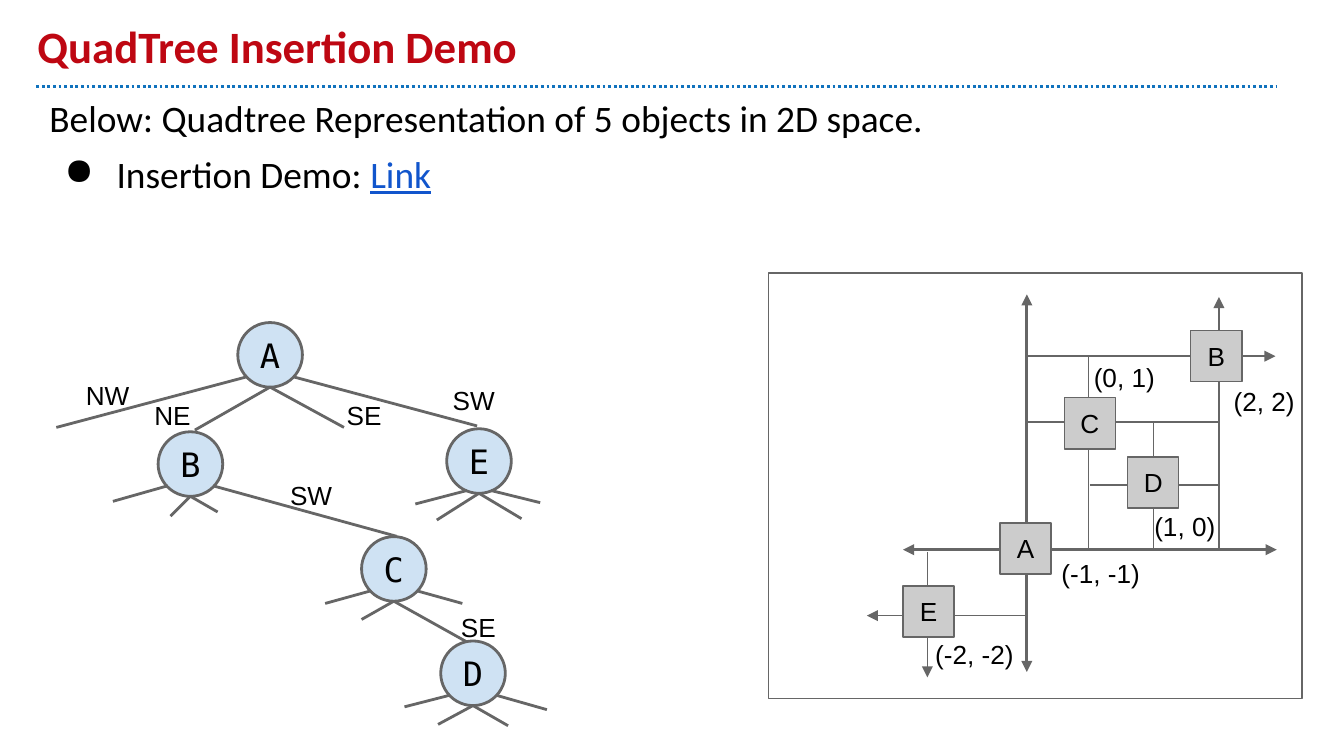
"""Build a slide showing a quadtree and its objects in 2D space."""
from dataclasses import dataclass

from lxml.etree import SubElement
from pptx import Presentation
from pptx.dml.color import RGBColor
from pptx.enum.dml import MSO_LINE
from pptx.enum.shapes import MSO_CONNECTOR, MSO_SHAPE
from pptx.enum.text import MSO_ANCHOR, PP_ALIGN
from pptx.oxml.ns import qn
from pptx.util import Pt


@dataclass(frozen=True)
class Theme:
    title: str = "BE0712"
    rule: str = "1072BD"
    link: str = "1155CC"
    text: str = "000000"
    outline: str = "666666"
    node: str = "CFE2F3"
    square: str = "CCCCCC"
    heading_font: str = "Calibri"
    label_font: str = "Arial"
    node_font: str = "DejaVu Sans Mono"
    title_size: float = 24
    body_size: float = 20
    node_size: float = 18
    label_size: float = 14
    thin: float = 0.75
    thick: float = 1.5


class SlideBuilder:
    def __init__(self, slide, theme):
        self.slide = slide
        self.theme = theme

    def apply(self, target, values):
        for name, value in values.items():
            setattr(target, name, value)

    def run(self, paragraph, text, font, size, color=None, **values):
        run = paragraph.add_run()
        run.text = text
        self.apply(run.font, {"name": font, "size": Pt(size), **values})
        run.font.color.rgb = RGBColor.from_string(color or self.theme.text)

    def frame(self, shape, margin, anchor=MSO_ANCHOR.TOP):
        sides = ("left", "top", "right", "bottom")
        margins = {f"margin_{side}": Pt(margin) for side in sides}
        self.apply(shape.text_frame, {"word_wrap": True, "vertical_anchor": anchor, **margins})
        return shape.text_frame

    def textbox(self, left, top, width, height, anchor=MSO_ANCHOR.TOP):
        shape = self.slide.shapes.add_textbox(Pt(left), Pt(top), Pt(width), Pt(height))
        return self.frame(shape, 7.2, anchor)

    def label(self, text, left, top):
        paragraph = self.textbox(left, top, 64, 23).paragraphs[0]
        self.run(paragraph, text, self.theme.label_font, self.theme.label_size)

    def shape(self, kind, left, top, width, height, fill=None, weight=None):
        shape = self.slide.shapes.add_shape(kind, Pt(left), Pt(top), Pt(width), Pt(height))
        shape.shadow.inherit = False
        if fill:
            shape.fill.solid()
            shape.fill.fore_color.rgb = RGBColor.from_string(fill)
        else:
            shape.fill.background()
        shape.line.color.rgb = RGBColor.from_string(self.theme.outline)
        shape.line.width = Pt(weight or self.theme.thin)
        return shape

    def lettered(self, kind, letter, center, size, fill, weight, font, font_size):
        x, y = center
        shape = self.shape(kind, x - size / 2, y - size / 2, size, size, fill, weight)
        paragraph = self.frame(shape, 0, MSO_ANCHOR.MIDDLE).paragraphs[0]
        paragraph.alignment = PP_ALIGN.CENTER
        self.run(paragraph, letter, font, font_size)

    def node(self, letter, center):
        theme = self.theme
        self.lettered(MSO_SHAPE.OVAL, letter, center, 34.6, theme.node, theme.thick,
                      theme.node_font, theme.node_size)

    def square(self, letter, center):
        theme = self.theme
        self.lettered(MSO_SHAPE.RECTANGLE, letter, center, 27.4, theme.square, theme.thin,
                      theme.label_font, theme.label_size)

    def line(self, start, end, weight, color=None, arrows=(), dash=None):
        points = [Pt(value) for value in (*start, *end)]
        line = self.slide.shapes.add_connector(MSO_CONNECTOR.STRAIGHT, *points)
        line.line.color.rgb = RGBColor.from_string(color or self.theme.outline)
        self.apply(line.line, {"width": Pt(weight), "dash_style": dash})
        properties = line.line._get_or_add_ln()
        for arrow in arrows:
            SubElement(properties, qn(f"a:{arrow}"), type="triangle")
        SubElement(line._element.spPr, qn("a:effectLst"))

    def bullet(self, paragraph):
        properties = paragraph._p.get_or_add_pPr()
        properties.set("marL", str(Pt(36)))
        properties.set("indent", str(Pt(-28)))
        color = SubElement(properties, qn("a:buClr"))
        SubElement(color, qn("a:srgbClr"), val=self.theme.text)
        SubElement(properties, qn("a:buChar"), char="●")


def add_heading(builder):
    theme = builder.theme
    font, size = theme.heading_font, theme.body_size
    builder.line((19.4, 46.2), (684, 46.2), theme.thick, theme.rule, dash=MSO_LINE.ROUND_DOT)
    title = builder.textbox(13, 7.2, 648, 38.9, MSO_ANCHOR.BOTTOM).paragraphs[0]
    builder.run(title, "QuadTree Insertion Demo", font, theme.title_size, theme.title, bold=True)
    body = builder.textbox(19.4, 43.9, 664.6, 326.9)
    intro, demo = body.paragraphs[0], body.add_paragraph()
    for paragraph in (intro, demo):
        paragraph.space_before = Pt(6)
    builder.bullet(demo)
    builder.run(intro, "Below: Quadtree Representation of 5 objects in 2D space.", font, size)
    builder.run(demo, "Insertion Demo: ", font, size)
    builder.run(demo, "Link", font, size, theme.link, underline=True)


def add_plane(builder):
    thin, thick = builder.theme.thin, builder.theme.thick
    both, end = ("headEnd", "tailEnd"), ("tailEnd",)
    objects = {
        "A": ((549.4, 293.8), "(-1, -1)", (561.6, 291.6), thick, [
            ((550.1, 157.7), (550.1, 360), both), ((483.8, 294.5), (684, 294.5), both)]),
        "B": ((651.6, 190.8), "(2, 2)", (653.8, 199.4), thin, [
            ((550.8, 190.8), (683.3, 190.8), end), ((653, 293.8), (653, 159.1), end)]),
        "C": ((583.9, 226.8), "(0, 1)", (578.9, 186.5), thin, [
            ((550.8, 226.1), (652.3, 226.1), ()), ((583.2, 191.5), (583.2, 293.8), ())]),
        "D": ((617.8, 258.5), "(1, 0)", (611.3, 266.4), thin, [
            ((583.9, 259.9), (653, 259.9), ()), ((617.8, 294.5), (617.8, 226.8), ())]),
        "E": ((497.5, 327.6), "(-2, -2)", (493.9, 334.8), thin, [
            ((550.8, 329.8), (464.4, 329.8), end), ((496.8, 295.9), (496.8, 362.9), end)]),
    }
    builder.shape(MSO_SHAPE.RECTANGLE, 411.8, 146.2, 285.8, 228.2)
    for letter, (center, position, corner, weight, lines) in objects.items():
        for start, stop, arrows in lines:
            builder.line(start, stop, weight, arrows=arrows)
        builder.square(letter, center)
        builder.label(position, *corner)


def add_tree(builder):
    wide, narrow = (12.2, 11.7), (6.5, 15.8)
    nodes = {
        "A": ((144.7, 190.1), wide,
              [(30.2, 229), (104.4, 230.4), (184.3, 229), (255.6, 228.2)]),
        "B": ((102, 248.6), wide,
              [(60.5, 268.6), (91.4, 276.5), (116.6, 274.3), (212.4, 287.3)]),
        "C": ((211, 304.8), wide,
              [(174.2, 323.3), (193.7, 331.9), (250.6, 344.2), (247.7, 323.3)]),
        "D": ((253.4, 360.7), wide,
              [(216.7, 378.7), (234.7, 388.1), (272.2, 388.8), (293, 380.2)]),
        "E": ((256.6, 247), narrow,
              [(222.5, 270), (234, 278.6), (279.4, 277.9), (289.4, 269.3)]),
    }
    for letter, ((x, y), (across, down), ends) in nodes.items():
        builder.node(letter, (x, y))
        bottom = (x, y + 17.3)
        starts = [(x - across, y + down), bottom, bottom, (x + across, y + down)]
        for start, end in zip(starts, ends):
            builder.line(start, end, builder.theme.thick)
    branches = [("NW", 38.9, 195.8), ("NE", 75.6, 206.6), ("SE", 178.6, 206.6),
                ("SW", 235.4, 198.7), ("SW", 148.3, 249.8), ("SE", 239.8, 320.4)]
    for branch in branches:
        builder.label(*branch)


def main():
    presentation = Presentation()
    presentation.slide_width, presentation.slide_height = Pt(720), Pt(405)
    slide = presentation.slides.add_slide(presentation.slide_layouts[6])
    builder = SlideBuilder(slide, Theme())
    add_heading(builder)
    add_plane(builder)
    add_tree(builder)
    presentation.save("out.pptx")


if __name__ == "__main__":
    main()
